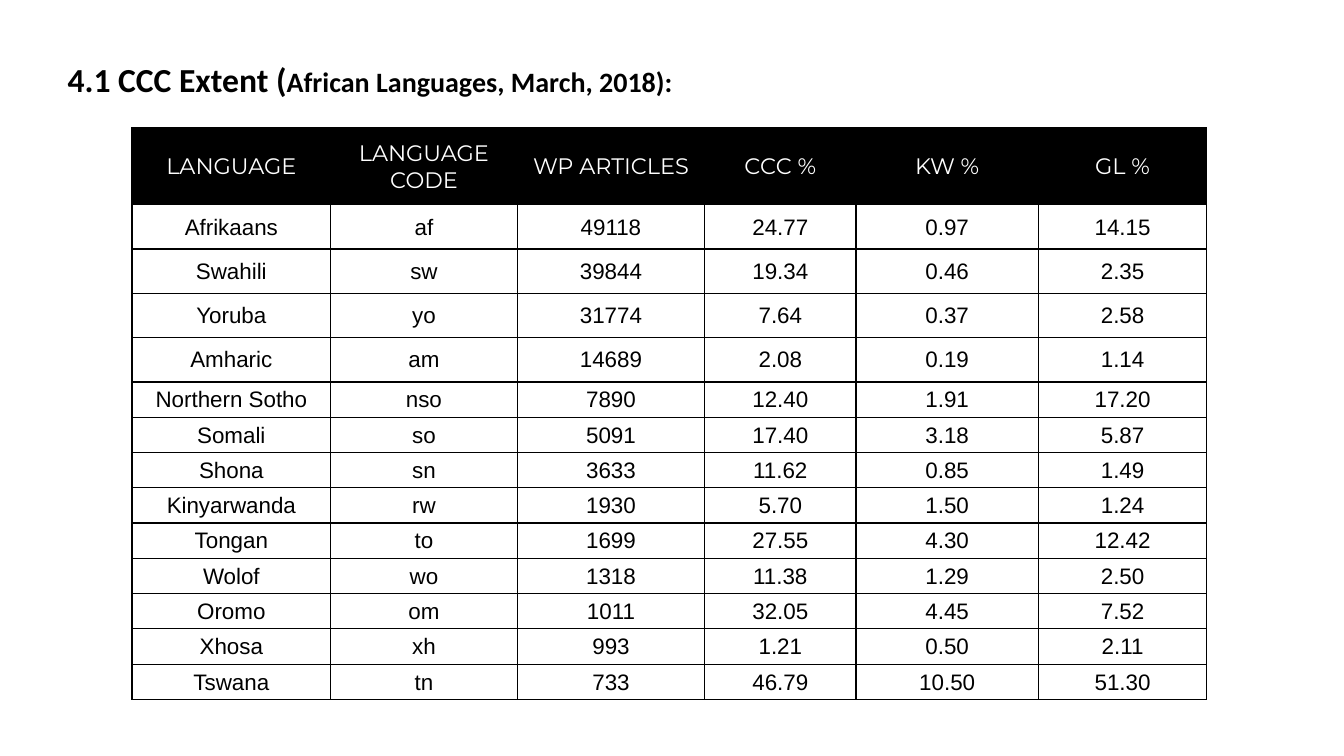
from lxml.etree import SubElement
from pptx import Presentation
from pptx.dml.color import RGBColor
from pptx.enum.text import MSO_ANCHOR, MSO_AUTO_SIZE, PP_ALIGN
from pptx.oxml.ns import qn
from pptx.util import Inches, Pt

# Content
HEADING = [("4.1 CCC Extent (", 24), ("African Languages, March, 2018):", 20)]
HEADERS = ("LANGUAGE", "LANGUAGE CODE", "WP ARTICLES", "CCC %", "KW %", "GL %")
LANGUAGES = [
    ("Afrikaans", "af", "49118", "24.77", "0.97", "14.15"),
    ("Swahili", "sw", "39844", "19.34", "0.46", "2.35"),
    ("Yoruba", "yo", "31774", "7.64", "0.37", "2.58"),
    ("Amharic", "am", "14689", "2.08", "0.19", "1.14"),
    ("Northern Sotho", "nso", "7890", "12.40", "1.91", "17.20"),
    ("Somali", "so", "5091", "17.40", "3.18", "5.87"),
    ("Shona", "sn", "3633", "11.62", "0.85", "1.49"),
    ("Kinyarwanda", "rw", "1930", "5.70", "1.50", "1.24"),
    ("Tongan", "to", "1699", "27.55", "4.30", "12.42"),
    ("Wolof", "wo", "1318", "11.38", "1.29", "2.50"),
    ("Oromo", "om", "1011", "32.05", "4.45", "7.52"),
    ("Xhosa", "xh", "993", "1.21", "0.50", "2.11"),
    ("Tswana", "tn", "733", "46.79", "10.50", "51.30"),
]

# Layout and formats
COLUMN_WIDTHS = (1.97, 1.85, 1.86, 1.5, 1.81, 1.67)
ROW_HEIGHTS = [0.76] + [0.44] * 4 + [0.35] * 9
BLACK, WHITE = "000000", "FFFFFF"
HEADING_FONT = {"name": "Calibri", "bold": True}
HEADER_FONT = {"name": "Montserrat", "size": Pt(16), "bold": False}
BODY_FONT = {"name": "Arial", "size": Pt(16), "bold": False}
CELL_FORMAT = {
    "vertical_anchor": MSO_ANCHOR.MIDDLE,
    "margin_left": Inches(0.01),
    "margin_right": Inches(0.01),
    "margin_top": Inches(0.01),
    "margin_bottom": 0,
}


def set_all(target, values):
    for key, value in values.items():
        setattr(target, key, value)


def paint(color_format, color):
    color_format.rgb = RGBColor.from_string(color)


def add_borders(cell):
    properties = cell._tc.get_or_add_tcPr()
    for side in ("lnL", "lnR", "lnT", "lnB"):
        line = SubElement(properties, qn(f"a:{side}"), w=str(Pt(1)))
        fill = SubElement(line, qn("a:solidFill"))
        SubElement(fill, qn("a:srgbClr"), val=BLACK)


def format_cell(cell, text, is_header):
    cell.text = text
    set_all(cell, CELL_FORMAT)
    paragraph = cell.text_frame.paragraphs[0]
    paragraph.alignment = PP_ALIGN.CENTER
    font = paragraph.runs[0].font
    set_all(font, HEADER_FONT if is_header else BODY_FONT)
    paint(font.color, WHITE if is_header else BLACK)
    add_borders(cell)
    if is_header:
        cell.fill.solid()
        paint(cell.fill.fore_color, BLACK)
    else:
        cell.fill.background()


def add_heading(slide):
    title = slide.shapes.title
    set_all(title, {"left": Inches(0.57), "top": Inches(0.53),
                    "width": Inches(12.02), "height": Inches(0.5)})
    frame = title.text_frame
    set_all(frame, {"word_wrap": True, "auto_size": MSO_AUTO_SIZE.NONE,
                    "vertical_anchor": MSO_ANCHOR.MIDDLE})
    paragraph = frame.paragraphs[0]
    paragraph.alignment = PP_ALIGN.LEFT
    for text, size in HEADING:
        run = paragraph.add_run()
        run.text = text
        set_all(run.font, HEADING_FONT | {"size": Pt(size)})
        paint(run.font.color, BLACK)


def add_language_table(slide):
    rows = [HEADERS] + LANGUAGES
    table = slide.shapes.add_table(
        len(rows), len(HEADERS), Inches(1.31), Inches(1.27),
        Inches(sum(COLUMN_WIDTHS)), Inches(sum(ROW_HEIGHTS))).table
    table.horz_banding = False
    for column, width in zip(table.columns, COLUMN_WIDTHS):
        column.width = Inches(width)
    for row, height in zip(table.rows, ROW_HEIGHTS):
        row.height = Inches(height)
    for r, values in enumerate(rows):
        for c, text in enumerate(values):
            format_cell(table.cell(r, c), text, r == 0)


def main():
    deck = Presentation()
    deck.slide_width, deck.slide_height = Inches(13.33), Inches(7.5)
    slide = deck.slides.add_slide(deck.slide_layouts[5])
    add_heading(slide)
    add_language_table(slide)
    deck.save("out.pptx")


if __name__ == "__main__":
    main()
